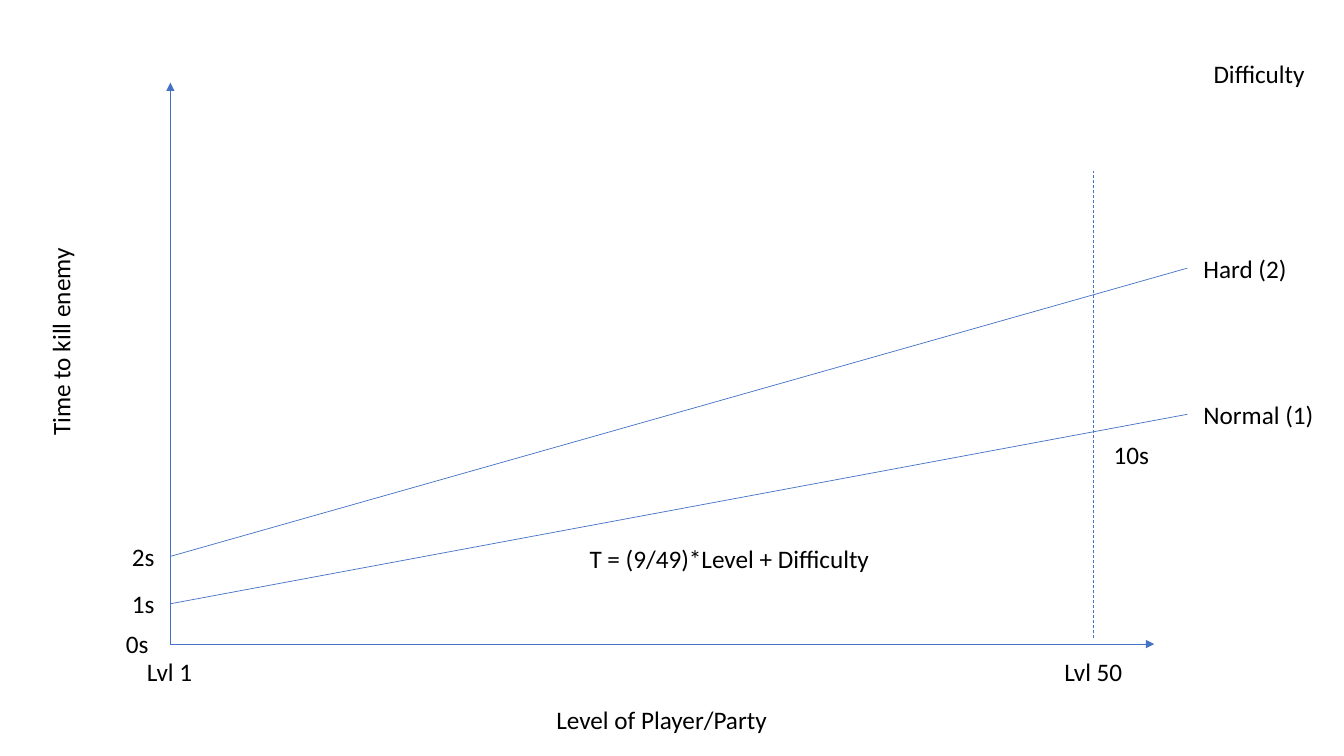
from lxml import etree
from pptx import Presentation
from pptx.dml.color import RGBColor
from pptx.enum.dml import MSO_LINE
from pptx.enum.shapes import MSO_CONNECTOR
from pptx.enum.text import MSO_AUTO_SIZE
from pptx.oxml.ns import qn
from pptx.util import Inches, Pt

STRAIGHT = MSO_CONNECTOR.STRAIGHT
DASH = MSO_LINE.DASH
FIT_SHAPE = MSO_AUTO_SIZE.SHAPE_TO_FIT_TEXT

CELL = Inches(0.1)
COLUMNS, ROWS = 133.33, 75
PLOT_BOX = (16.9, 8.2, 97.6, 55.7)
LABEL_HEIGHT = 4
LEVEL_50 = 91.6
LINE_END = 100.9
BLUE, BLACK = "4472C4", "000000"
FONT_FORMAT = {"name": "Calibri", "size": Pt(18)}
DIFFICULTIES = [
    ("Normal (1)", 13.1, "1s", 51.7, 32.9),
    ("Hard (2)", 10.4, "2s", 47, 18.4),
]


def cells(count):
    """Convert a number of grid cells to a length."""
    return round(count * CELL)


def color(hex_string):
    """Return the colour for a hex string."""
    return RGBColor.from_string(hex_string)


def add_line(slide, box, start, end, arrow=False, dash=None):
    """Draw a thin line between two points given in cells from the box corner."""
    left, top = box[:2]
    points = [cells(offset + value) for point in (start, end)
              for offset, value in zip((left, top), point)]
    connector = slide.shapes.add_connector(STRAIGHT, *points)
    connector.line.color.rgb = color(BLUE)
    connector.line.width = Pt(0.5)
    if dash is not None:
        connector.line.dash_style = dash
    if arrow:
        outline = connector.line._get_or_add_ln()
        etree.SubElement(outline, qn("a:tailEnd"), type="triangle")
    etree.SubElement(connector._element.spPr, qn("a:effectLst"))


def add_label(slide, box, text, left, top, width, rotation=0):
    """Place a one-line label, in cells from the box corner."""
    shape = slide.shapes.add_textbox(
        cells(box[0] + left), cells(box[1] + top), cells(width), cells(LABEL_HEIGHT))
    shape.rotation = rotation
    frame = shape.text_frame
    frame.word_wrap = False
    frame.auto_size = FIT_SHAPE
    frame.text = text
    font = frame.paragraphs[0].runs[0].font
    for name, value in FONT_FORMAT.items():
        setattr(font, name, value)
    font.color.rgb = color(BLACK)


def add_axes(slide, box):
    """Draw both axes with their titles and level marks."""
    width, height = box[2:]
    for end in ((0, 0), (width, height)):
        add_line(slide, box, (0, height), end, arrow=True)
    add_label(slide, box, "Level of Player/Party", 37.3, height + 5.5, 23.1)
    add_label(slide, box, "Time to kill enemy", -21.3, 23.6, 20.8, rotation=270)
    for text, center, label_width in (("Lvl 1", 0, 6.6), ("Lvl 50", LEVEL_50, 7.8)):
        add_label(slide, box, text, center - label_width / 2, height + 0.7, label_width)
    add_label(slide, box, "0s", -5.4, height - 2.1, 4.3)
    add_line(slide, box, (LEVEL_50, height - 0.6), (LEVEL_50, 8.8), dash=DASH)


def add_difficulty_lines(slide, box):
    """Draw one labelled line for each difficulty, with the notes about them."""
    for name, name_width, seconds, start, end in DIFFICULTIES:
        add_line(slide, box, (0, start), (LINE_END, end))
        add_label(slide, box, seconds, -4.8, start - 2, 4.3)
        add_label(slide, box, name, LINE_END + 0.6, end - 2, name_width)
    add_label(slide, box, "Difficulty", 102.5, -2.9, 11.2)
    add_label(slide, box, "10s", LEVEL_50 + 1, 34.9, 5.6)
    add_label(slide, box, "T = (9/49)*Level + Difficulty", 40.6, 45.2, 30.2)


def main():
    """Build the slide and save the presentation."""
    presentation = Presentation()
    presentation.slide_width = cells(COLUMNS)
    presentation.slide_height = cells(ROWS)
    slide = presentation.slides.add_slide(presentation.slide_layouts[6])
    add_axes(slide, PLOT_BOX)
    add_difficulty_lines(slide, PLOT_BOX)
    presentation.save("out.pptx")


main()
